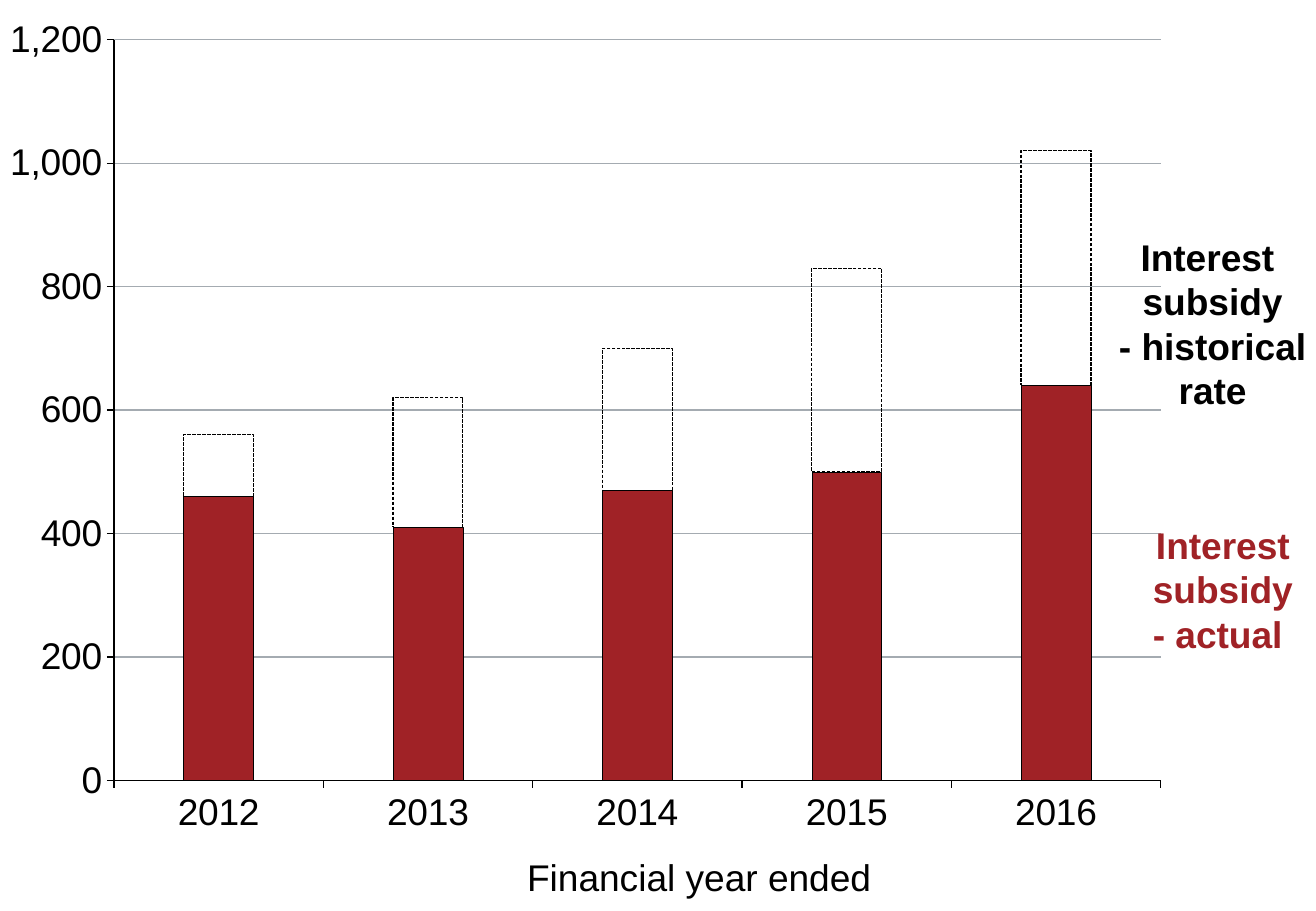
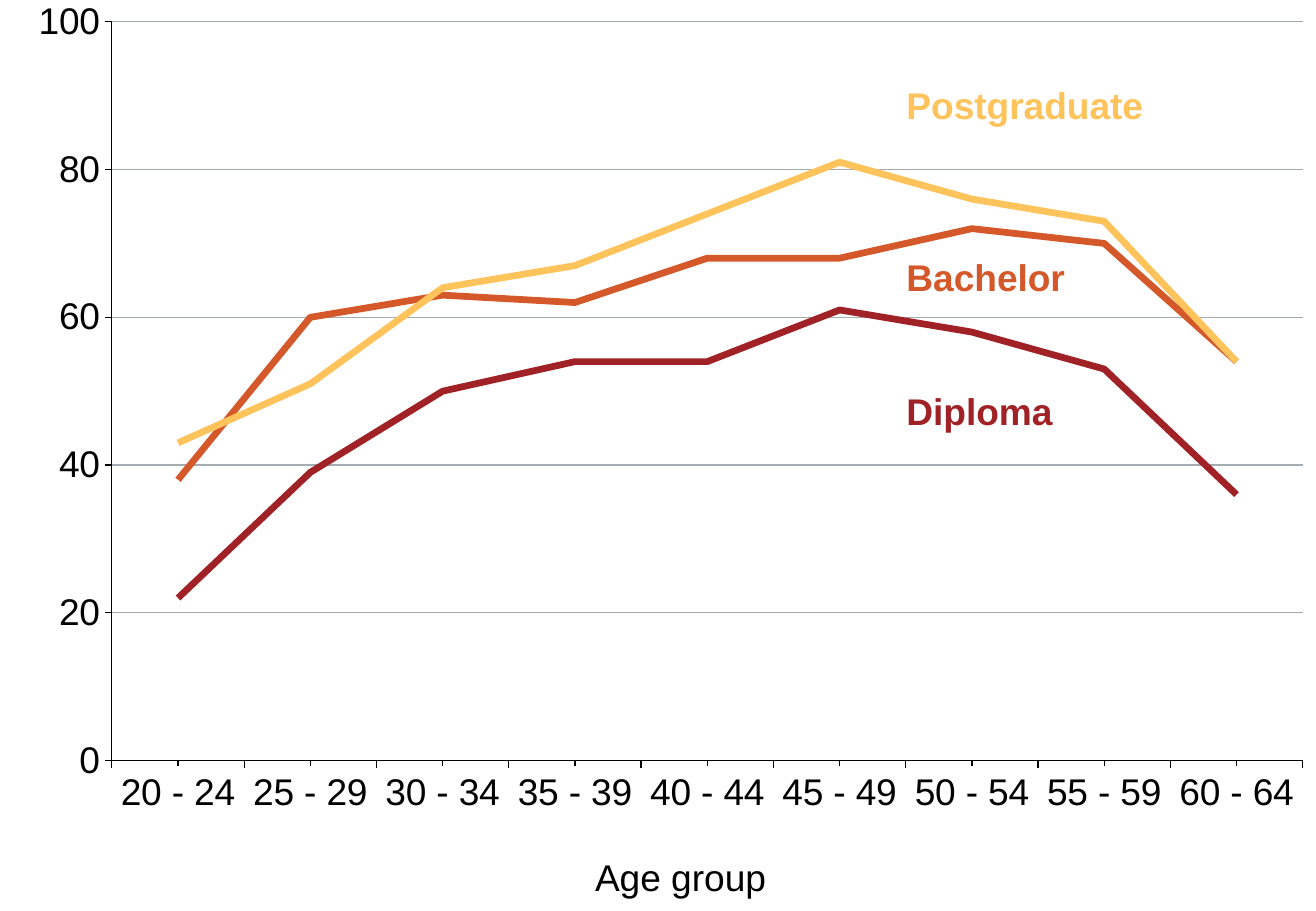
from lxml import etree
from pptx import Presentation
from pptx.chart.data import CategoryChartData
from pptx.dml.color import RGBColor
from pptx.enum.chart import XL_CHART_TYPE, XL_TICK_MARK
from pptx.enum.dml import MSO_LINE
from pptx.enum.text import MSO_AUTO_SIZE, PP_ALIGN
from pptx.oxml.ns import qn
from pptx.util import Cm, Pt

BLACK = RGBColor(0x00, 0x00, 0x00)
GRID = RGBColor(0xA4, 0xAB, 0xB1)
RED = RGBColor(0xA0, 0x22, 0x26)
ORANGE = RGBColor(0xD4, 0x58, 0x2A)
YELLOW = RGBColor(0xFE, 0xC3, 0x5A)
FONT = "Arial"
SIZE = 22
SLIDE_W, SLIDE_H = 27.51, 19.05  # cm
CAPTION_TOP, CAPTION_H = 17.73, 1.19
LABEL_H = 0.94  # one line of label text


def add_text(s, box, lines, color=BLACK, bold=False, align=PP_ALIGN.LEFT,
             wrap=False, inset=(0, 0)):
    """Text box with one paragraph per line; box and inset in cm."""
    tf = s.shapes.add_textbox(*map(Cm, box)).text_frame
    tf.word_wrap = wrap
    tf.auto_size = MSO_AUTO_SIZE.SHAPE_TO_FIT_TEXT
    tf.margin_left = tf.margin_right = Cm(inset[0])
    tf.margin_top = tf.margin_bottom = Cm(inset[1])
    for i, line in enumerate(lines):
        p = tf.paragraphs[0] if i == 0 else tf.add_paragraph()
        p.alignment = align
        r = p.add_run()
        r.text = line
        r.font.name, r.font.size, r.font.bold = FONT, Pt(SIZE), bold
        r.font.color.rgb = color


def add_caption(s, box, left, width, text):
    """Name of the category axis, at the foot of the box."""
    add_text(s, (box[0] + left, box[1] + CAPTION_TOP, width, CAPTION_H),
             [text], inset=(0.25, 0.13))


def set_plot_area(chart, **fractions):
    """Fix the inner plot area as fractions (x, y, w, h) of the chart."""
    plot_area = chart._chartSpace.chart.plotArea
    for old in plot_area.findall(qn("c:layout")):
        plot_area.remove(old)
    layout = etree.Element(qn("c:layout"))
    manual = etree.SubElement(layout, qn("c:manualLayout"))
    settings = {"layoutTarget": "inner", "xMode": "edge", "yMode": "edge", **fractions}
    for tag, value in settings.items():
        etree.SubElement(manual, qn("c:" + tag)).set("val", str(value))
    plot_area.insert(0, layout)


def add_chart(s, kind, box, categories, series, maximum, step, plot):
    """Chart with the shared axis style; returns the chart."""
    data = CategoryChartData()
    data.categories = categories
    for i, values in enumerate(series, 1):
        data.add_series(f"Series {i}", values)
    chart = s.shapes.add_chart(kind, *map(Cm, box), data).chart
    chart.has_legend = chart.has_title = False
    chart.font.name, chart.font.size = FONT, Pt(18)
    chart.font.color.rgb = BLACK
    for axis in (chart.category_axis, chart.value_axis):
        axis.major_tick_mark = XL_TICK_MARK.OUTSIDE
        axis.minor_tick_mark = XL_TICK_MARK.NONE
        axis.tick_labels.font.size = Pt(SIZE)
        axis.format.line.color.rgb = BLACK
        axis.format.line.width = Pt(0.75)
    axis = chart.value_axis
    axis.minimum_scale, axis.maximum_scale, axis.major_unit = 0, maximum, step
    axis.tick_labels.number_format = "#,##0"
    axis.tick_labels.number_format_is_linked = False
    axis.has_major_gridlines = True
    axis.major_gridlines.format.line.color.rgb = GRID
    axis.major_gridlines.format.line.width = Pt(0.75)
    set_plot_area(chart, **plot)
    return chart


def build_subsidy(s, box):
    """Stacked columns: actual subsidy and the rise at the historical rate."""
    x, y, w, h = box
    chart = add_chart(
        s, XL_CHART_TYPE.COLUMN_STACKED, (x, y + 0.33, w - 2.95, h - 1.12),
        [str(year) for year in range(2012, 2017)],
        [(460, 410, 470, 500, 640), (100, 210, 230, 330, 380)],
        1200, 200, dict(x=0.097, y=0.028, w=0.891, h=0.864))
    plot = chart.plots[0]
    plot.gap_width, plot.overlap, plot.vary_by_categories = 200, 100, False
    actual, historical = plot.series
    actual.format.fill.solid()
    actual.format.fill.fore_color.rgb = RED
    historical.format.fill.background()
    for series, width in ((actual, 0.25), (historical, 0.75)):
        series.format.line.color.rgb = BLACK
        series.format.line.width = Pt(width)
    historical.format.line.dash_style = MSO_LINE.SQUARE_DOT
    # Series labels
    left = x + 23.37
    add_text(s, (left, y + 10.92, 4.39, 3 * LABEL_H),
             ["Interest subsidy", "- actual "],
             color=RED, bold=True, align=PP_ALIGN.CENTER, wrap=True)
    add_text(s, (left, y + 4.9, 3.96, 4 * LABEL_H),
             ["Interest ", "subsidy", "- historical ", "rate"],
             bold=True, align=PP_ALIGN.CENTER)
    add_caption(s, box, 10.77, 7.8, "Financial year ended")


def build_age_groups(s, box):
    """Lines by age group, one for each level of study."""
    levels = [  # name, colour, label top, label width, values
        ("Diploma", RED, 8.13, 3.1, (22, 39, 50, 54, 54, 61, 58, 53, 36)),
        ("Bachelor", ORANGE, 5.33, 3.35, (38, 60, 63, 62, 68, 68, 72, 70, 54)),
        ("Postgraduate", YELLOW, 1.73, 5.03, (43, 51, 64, 67, 74, 81, 76, 73, 54)),
    ]
    chart = add_chart(
        s, XL_CHART_TYPE.LINE, box,
        [f"{age} - {age + 4}" for age in range(20, 61, 5)],
        [level[-1] for level in levels],
        100, 20, dict(x=0.085, y=0.024, w=0.905, h=0.811))
    chart.category_axis.minor_tick_mark = XL_TICK_MARK.OUTSIDE
    chart.plots[0].vary_by_categories = False
    # Lines and their labels
    for series, (name, color, top, width, _) in zip(chart.plots[0].series, levels):
        series.smooth = False
        series.format.line.color.rgb = color
        series.format.line.width = Pt(4)
        add_text(s, (box[0] + 18.95, box[1] + top, width, LABEL_H),
                 [name], color=color, bold=True)
    add_caption(s, box, 12.19, 4.17, "Age group")


def main():
    prs = Presentation()
    prs.slide_width, prs.slide_height = Cm(SLIDE_W), Cm(SLIDE_H)
    for build in (build_subsidy, build_age_groups):
        build(prs.slides.add_slide(prs.slide_layouts[6]), (0, 0, SLIDE_W, SLIDE_H))
    prs.save("out.pptx")


if __name__ == "__main__":
    main()
